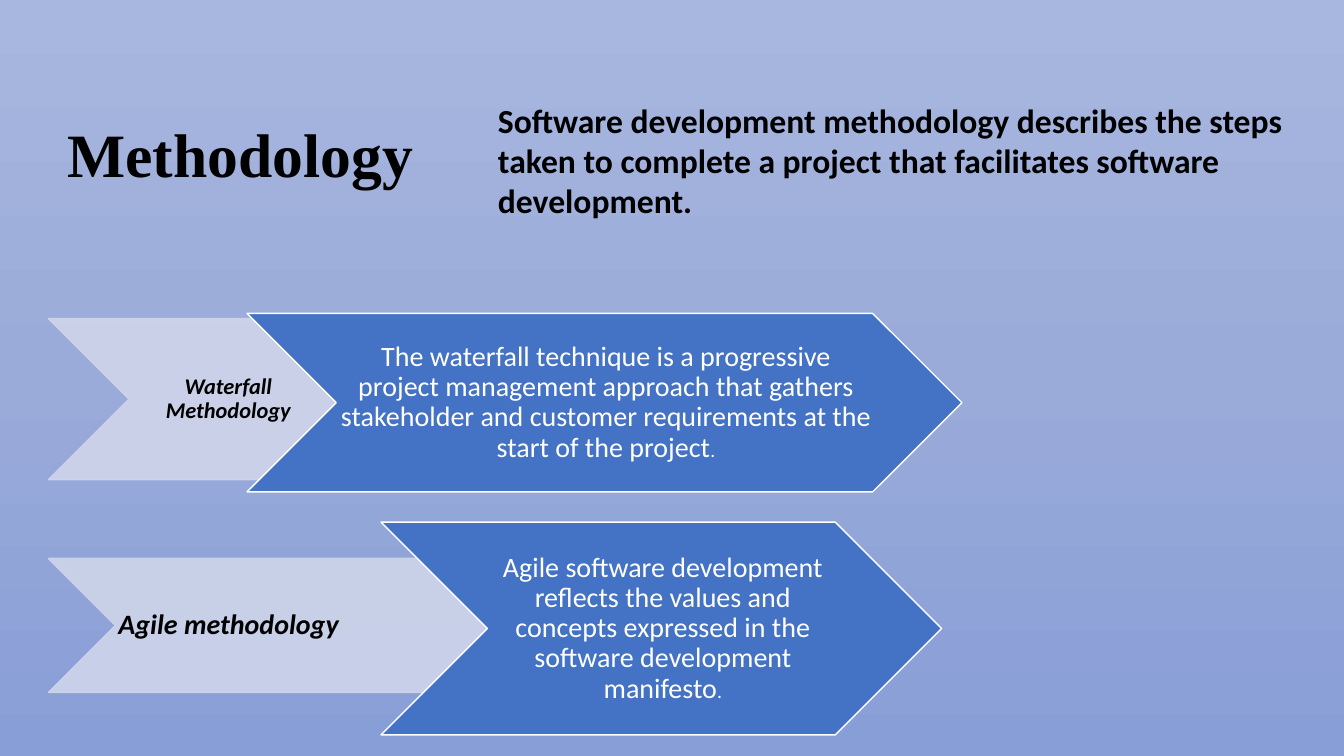
from copy import deepcopy

from lxml.etree import SubElement
from pptx import Presentation
from pptx.dml.color import RGBColor
from pptx.enum.shapes import MSO_SHAPE as Shape
from pptx.enum.text import MSO_ANCHOR as Anchor, PP_ALIGN as Align
from pptx.oxml.ns import qn
from pptx.util import Inches, Pt

COLORS = {
    "sky_top": "A8B7DF",
    "sky_middle": "9AABD9",
    "sky_bottom": "889ED7",
    "label": "CFD5EA",
    "detail": "4472C4",
    "white": "FFFFFF",
    "black": "000000",
}


def rgb(name):
    """Return the named colour."""
    return RGBColor.from_string(COLORS[name])


class MethodologySlide:
    """Hold the style and the current slide."""

    body_font = "Calibri"
    title_font = "Times New Roman"

    def __init__(self, presentation):
        """Add a title-only slide."""
        self.slide = presentation.slides.add_slide(presentation.slide_layouts[5])

    def background(self, *names):
        """Fill the background with a top-to-bottom gradient."""
        fill = self.slide.background.fill
        fill.gradient()
        fill.gradient_angle = 270
        stop_list = self.slide.element.find(".//" + qn("a:gsLst"))
        while len(stop_list) < len(names):
            stop_list.append(deepcopy(stop_list[-1]))
        for index, (stop, name) in enumerate(zip(fill.gradient_stops, names)):
            stop.color.rgb = rgb(name)
            stop.position = index / (len(names) - 1)

    def format_run(self, run, size, color="black", bold=False, italic=False, font=None):
        """Set the font of one run."""
        run.font.name = font or self.body_font
        run.font.size = Pt(size)
        run.font.bold = bold
        run.font.italic = italic
        run.font.color.rgb = rgb(color)

    def title(self, text, box):
        """Place and format the title."""
        shape = self.slide.shapes.title
        shape.left, shape.top, shape.width, shape.height = map(Inches, box)
        shape.text_frame.text = text
        shape.text_frame.vertical_anchor = Anchor.MIDDLE
        paragraph = shape.text_frame.paragraphs[0]
        paragraph.alignment = Align.LEFT
        paragraph.line_spacing = 0.9
        self.format_run(paragraph.runs[0], 44, bold=True, font=self.title_font)

    def text(self, text, box):
        """Add the bold introduction."""
        shape = self.slide.shapes.add_textbox(*map(Inches, box))
        shape.text_frame.word_wrap = True
        shape.text_frame.text = text
        self.format_run(shape.text_frame.paragraphs[0].runs[0], 24, bold=True)

    def chevron(self, text, box, fill, line, alignment=Align.CENTER):
        """Add a chevron and return its paragraph."""
        shape = self.slide.shapes.add_shape(Shape.CHEVRON, *map(Inches, box))
        shape.shadow.inherit = False
        shape.fill.solid()
        shape.fill.fore_color.rgb = rgb(fill)
        shape.line.color.rgb = rgb(line)
        shape.line.width = Pt(1)
        frame = shape.text_frame
        frame.word_wrap = True
        frame.vertical_anchor = Anchor.MIDDLE
        frame.margin_left, frame.margin_right = Inches(0.03), 0
        frame.margin_top = frame.margin_bottom = Inches(0.01)
        frame.text = text
        paragraph = frame.paragraphs[0]
        paragraph.alignment = alignment
        paragraph.line_spacing = 0.9
        return shape, paragraph

    def label(self, text, box, size, alignment):
        """Add a translucent chevron that names a methodology."""
        shape, paragraph = self.chevron(text, box, "label", "label", alignment)
        for color in shape.element.spPr.iter(qn("a:srgbClr")):
            SubElement(color, qn("a:alpha"), val="90000")
        self.format_run(paragraph.runs[0], size, bold=True, italic=True)

    def detail(self, text, box):
        """Add a blue chevron that ends in a smaller full stop."""
        _, paragraph = self.chevron(text, box, "detail", "white")
        paragraph.add_run().text = "."
        for run, size in zip(paragraph.runs, (20, 14)):
            self.format_run(run, size, "white")


def main():
    """Build and save the slide."""
    presentation = Presentation()
    presentation.slide_width = Inches(13.33)
    presentation.slide_height = Inches(7.5)
    page = MethodologySlide(presentation)
    page.background("sky_top", "sky_middle", "sky_bottom")
    page.title("Methodology", (0.57, 0.84, 11.5, 1.45))
    page.label("Waterfall Methodology", (0.48, 3.16, 3.54, 1.6), 16, Align.CENTER)
    page.detail(
        "The waterfall technique is a progressive project management approach that "
        "gathers stakeholder and customer requirements at the start of the project",
        (2.45, 3.11, 7.09, 1.77),
    )
    page.label("Agile methodology", (0.48, 5.54, 4.73, 1.33), 20, Align.LEFT)
    page.detail(
        "Agile software development reflects the values and concepts expressed in "
        "the software development manifesto",
        (3.78, 5.18, 5.56, 2.11),
    )
    page.text(
        "Software development methodology describes the steps taken to complete a "
        "project that facilitates software development.",
        (4.84, 0.94, 8.11, 1.62),
    )
    presentation.save("out.pptx")


if __name__ == "__main__":
    main()
